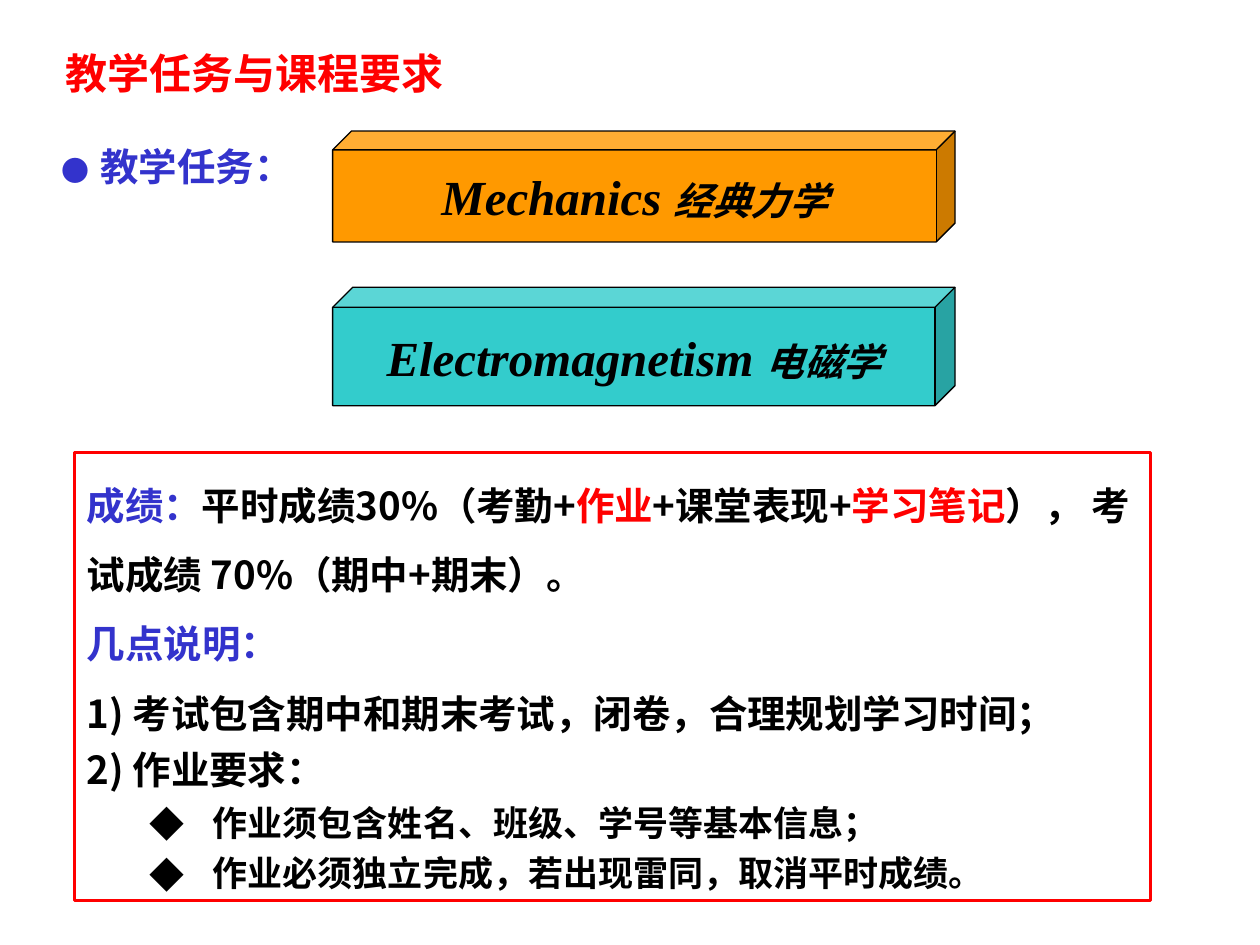
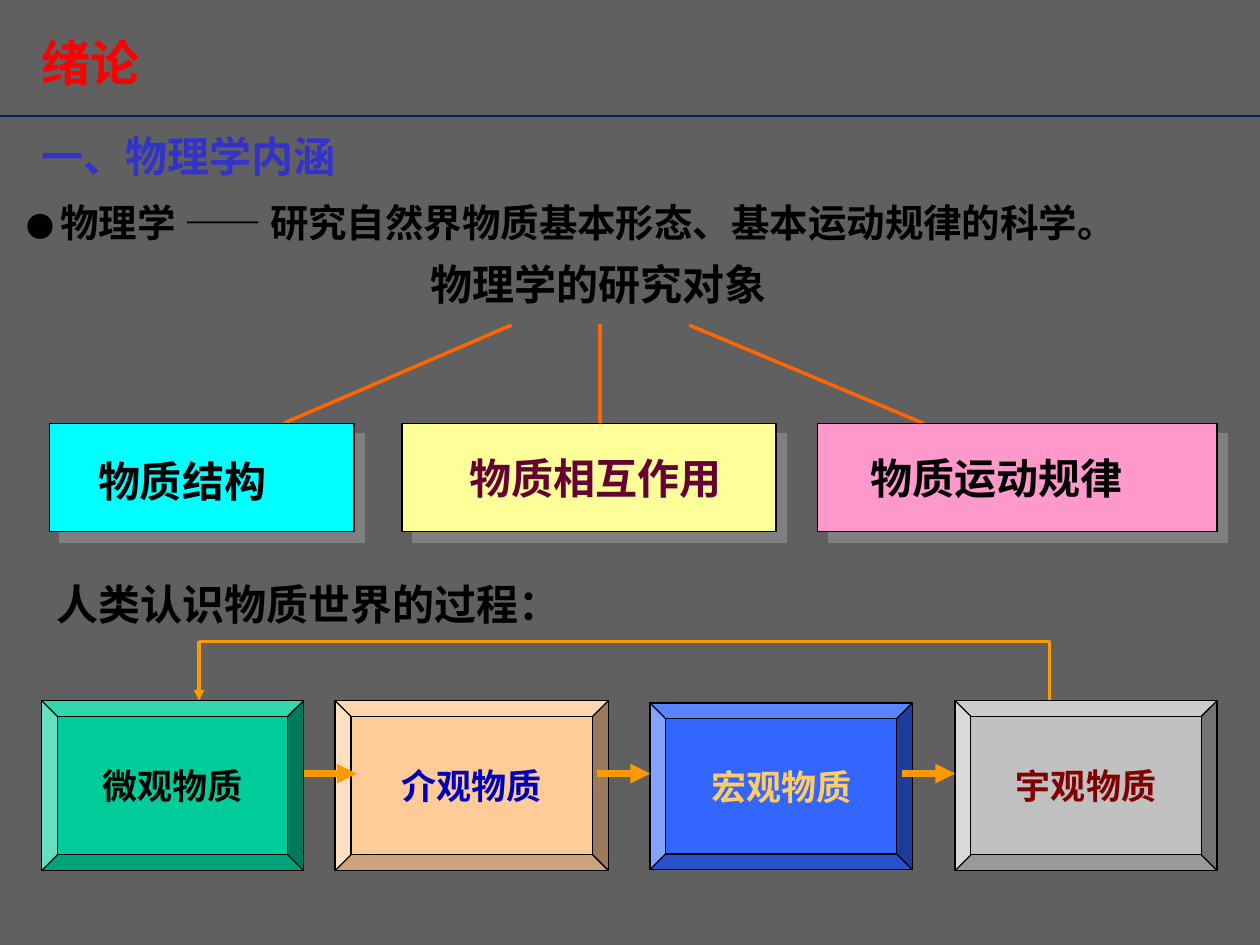
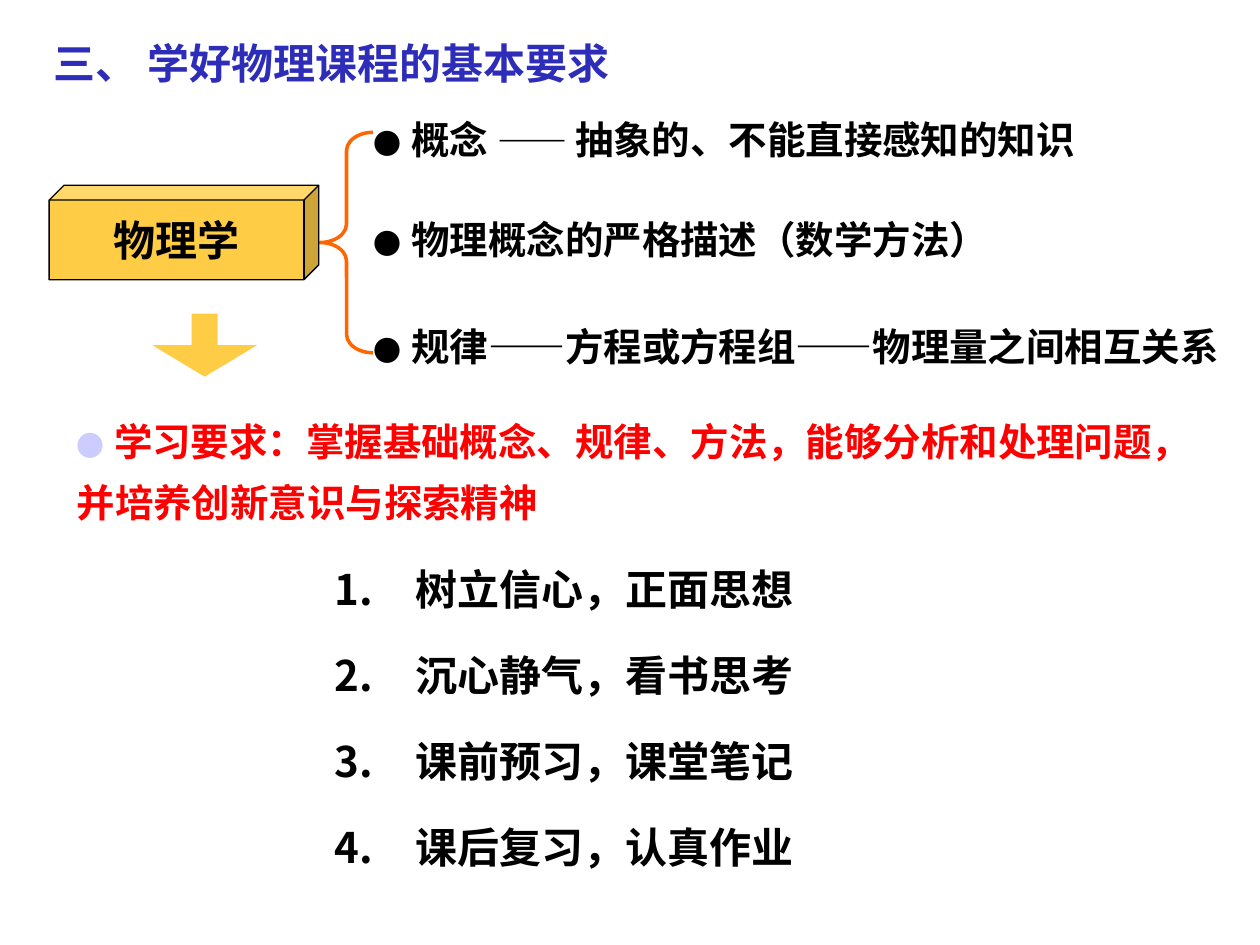
from lxml import etree
from pptx import Presentation
from pptx.dml.color import RGBColor
from pptx.enum.shapes import MSO_CONNECTOR, MSO_SHAPE
from pptx.enum.text import MSO_ANCHOR, PP_ALIGN
from pptx.oxml.ns import qn
from pptx.util import Inches, Pt

SANS, SERIF = "Noto Sans CJK SC", "Times New Roman"
BLACK = RGBColor(0x00, 0x00, 0x00)
WHITE = RGBColor(0xFF, 0xFF, 0xFF)
GRAY = RGBColor(0x60, 0x60, 0x60)
RED = RGBColor(0xFF, 0x00, 0x00)
BLUE = RGBColor(0x33, 0x33, 0xCC)
DEEP_BLUE = RGBColor(0x2D, 0x2D, 0xB9)
NAVY = RGBColor(0x00, 0x20, 0x60)
LAVENDER = RGBColor(0xCC, 0xCC, 0xFF)
ORANGE = RGBColor(0xFF, 0x99, 0x00)
DARK_ORANGE = RGBColor(0xFF, 0x66, 0x00)
TEAL = RGBColor(0x33, 0xCC, 0xCC)
GOLD = RGBColor(0xFF, 0xCD, 0x45)
CYAN = RGBColor(0x00, 0xFF, 0xFF)
YELLOW = RGBColor(0xFF, 0xFF, 0x99)
PINK = RGBColor(0xFF, 0x99, 0xCC)
PLUM = RGBColor(0x66, 0x00, 0x33)
GREEN = RGBColor(0x00, 0xCC, 0x99)
PEACH = RGBColor(0xFF, 0xCC, 0x99)
ROYAL = RGBColor(0x33, 0x66, 0xFF)
SILVER = RGBColor(0xC0, 0xC0, 0xC0)
INK_BLUE = RGBColor(0x00, 0x00, 0xB6)
SAND = RGBColor(0xFF, 0xCC, 0x66)
MAROON = RGBColor(0x80, 0x00, 0x00)

# Content: a run is (text, size, colour[, font]); a paragraph is (runs, format)
COURSES = [
    ("Mechanics ", "经典力学", 1.04, 0.88, ORANGE),
    ("Electromagnetism ", "电磁学", 2.28, 0.94, TEAL),
]
DIAMOND = {"bullet": "◆", "indent": 0.5, "left": 1, "before": 5}
GRADING = [
    ([("成绩：", 22, BLUE), ("平时成绩30%（考勤+", 22, BLACK), ("作业", 22, RED),
      ("+课堂表现+", 22, BLACK), ("学习笔记", 22, RED),
      ("）， 考试成绩 70%（期中+期末）。", 22, BLACK)], {"spacing": 1.5}),
    ([("几点说明：", 22, BLUE)], {"spacing": 1.5}),
    ([("1) 考试包含期中和期末考试，闭卷，合理规划学习时间；", 22, BLACK)], {"before": 13.8}),
    ([("2) 作业要求：", 22, BLACK)], {"before": 5.5}),
    ([("作业须包含姓名、班级、学号等基本信息；", 20, BLACK)], DIAMOND),
    ([("作业必须独立完成，若出现雷同，取消平时成绩。", 20, BLACK)], DIAMOND),
]
# label, left, width, fill, then label left, top, width, alignment, colour
TOPICS = [
    ("物质结构", 0.39, 2.42, CYAN, 0.68, 3.57, 2.36, PP_ALIGN.LEFT, BLACK),
    ("物质相互作用", 3.19, 2.97, YELLOW, 3.05, 3.54, 3.36, PP_ALIGN.CENTER, PLUM),
    ("物质运动规律", 6.49, 3.17, PINK, 6.81, 3.54, 2.56, PP_ALIGN.LEFT, BLACK),
]
TOPIC_TOP = 3.36
TOPIC_LINES = [(5.47, 2.58, 7.33), (4.76, 2.57, 4.76), (4.06, 2.58, 2.25)]
SCALES = [
    ("微观物质", 0.33, 5.56, 2.08, 1.35, GREEN, BLACK),
    ("介观物质", 2.66, 5.56, 2.17, 1.35, PEACH, INK_BLUE),
    ("宏观物质", 5.16, 5.58, 2.08, 1.32, ROYAL, SAND),
    ("宇观物质", 7.58, 5.56, 2.08, 1.35, SILVER, MAROON),
]
LOOP_LEFT, LOOP_RIGHT, LOOP_TOP, LOOP_BOTTOM = 1.58, 8.33, 5.09, 5.56
PHYSICS_PARTS = [
    (0.84, 6.3, [("概念 ", 22), ("—— ", 20), ("抽象的、不能直接感知的知识", 22)]),
    (1.64, 5.54, [("物理概念的严格描述（数学方法）", 22)]),
    (2.49, 7.07, [("规律——方程或方程组——物理量之间相互关系", 22)]),
]
HABITS = ["树立信心，正面思想", "沉心静气，看书思考", "课前预习，课堂笔记", "课后复习，认真作业"]


def add_bullet(paragraph, layout):
    properties = paragraph._p.get_or_add_pPr()
    properties.set("marL", str(Inches(layout["left"])))
    properties.set("indent", str(-Inches(layout["indent"])))
    color = etree.SubElement(properties, qn("a:buClr"))
    etree.SubElement(color, qn("a:srgbClr"), val=str(BLACK))
    if "bullet" in layout:
        etree.SubElement(properties, qn("a:buFont"), typeface=SANS)
        etree.SubElement(properties, qn("a:buChar"), char=layout["bullet"])
    else:
        etree.SubElement(properties, qn("a:buFont"), typeface=SANS)
        etree.SubElement(properties, qn("a:buAutoNum"), type="arabicPeriod")


def fill_text(shape, paragraphs, align=PP_ALIGN.LEFT, wrap=True, italic=False):
    frame = shape.text_frame
    frame.word_wrap = wrap
    for index, (runs, layout) in enumerate(paragraphs):
        paragraph = frame.add_paragraph() if index else frame.paragraphs[0]
        paragraph.alignment = align
        if "indent" in layout:
            add_bullet(paragraph, layout)
        if "spacing" in layout:
            paragraph.line_spacing = layout["spacing"]
        if index and "before" in layout:
            paragraph.space_before = Pt(layout["before"])
        for text, size, color, *font in runs:
            run = paragraph.add_run()
            run.text = text
            run.font.size = Pt(size)
            run.font.bold = True
            run.font.italic = italic
            run.font.color.rgb = color
            run.font.name = font[0] if font else SANS
            latin = run._r.rPr.find(qn("a:latin"))
            latin.addnext(latin.makeelement(qn("a:ea"), {"typeface": SANS}))


def add_text(slide, left, top, width, height, paragraphs, align=PP_ALIGN.LEFT):
    box = slide.shapes.add_textbox(Inches(left), Inches(top), Inches(width), Inches(height))
    fill_text(box, paragraphs, align)


def add_line_of_text(slide, left, top, width, runs, align=PP_ALIGN.LEFT, height=0.5):
    add_text(slide, left, top, width, height, [(runs, {})], align)


def add_block(slide, kind, left, top, width, height, fill=None, line=BLACK,
              weight=0.75, adjustment=None):
    shape = slide.shapes.add_shape(kind, Inches(left), Inches(top), Inches(width), Inches(height))
    shape.shadow.inherit = False
    if fill is None:
        shape.fill.background()
    else:
        shape.fill.solid()
        shape.fill.fore_color.rgb = fill
    if line is None:
        shape.line.fill.background()
    else:
        shape.line.color.rgb = line
        shape.line.width = Pt(weight)
    if adjustment is not None:
        shape.adjustments[0] = adjustment
    return shape


def add_labelled_block(slide, kind, box, fill, adjustment, runs, italic=False):
    shape = add_block(slide, kind, *box, fill, adjustment=adjustment)
    shape.text_frame.vertical_anchor = MSO_ANCHOR.MIDDLE
    fill_text(shape, [(runs, {})], PP_ALIGN.CENTER, wrap=False, italic=italic)


def add_offset_shadow(shape):
    effects = shape._element.spPr.find(qn("a:effectLst"))
    shadow = etree.SubElement(effects, qn("a:outerShdw"), dist=str(Pt(8.5)),
                              dir="2700000", algn="ctr", rotWithShape="0")
    etree.SubElement(shadow, qn("a:srgbClr"), val="808080")


def add_line(slide, x1, y1, x2, y2, color, weight, arrow=False):
    line = slide.shapes.add_connector(MSO_CONNECTOR.STRAIGHT, Inches(x1), Inches(y1),
                                      Inches(x2), Inches(y2))
    line.line.color.rgb = color
    line.line.width = Pt(weight)
    if arrow:
        etree.SubElement(line.line._get_or_add_ln(), qn("a:tailEnd"), type="triangle")
    etree.SubElement(line._element.spPr, qn("a:effectLst"))


def add_slide(presentation, background):
    slide = presentation.slides.add_slide(presentation.slide_layouts[6])
    slide.background.fill.solid()
    slide.background.fill.fore_color.rgb = background
    return slide


def build_requirements(presentation):
    slide = add_slide(presentation, WHITE)
    add_line_of_text(slide, 0.42, 0.33, 4.31, [("教学任务与课程要求", 24, RED)])
    add_line_of_text(slide, 0.39, 1, 3.12, [("●", 16, BLUE), (" ", 28, BLUE),
                                            ("教学任务：", 22, BLUE)], height=0.57)
    for english, chinese, top, height, fill in COURSES:
        add_labelled_block(slide, MSO_SHAPE.CUBE, (2.64, top, 4.94, height), fill, 0.17,
                           [(english, 28, BLACK, SERIF), (chinese, 22, BLACK)], italic=True)
    # Grading rules
    panel = add_block(slide, MSO_SHAPE.RECTANGLE, 0.59, 3.59, 8.54, 3.56, line=RED, weight=1.5)
    panel.text_frame.vertical_anchor = MSO_ANCHOR.TOP
    fill_text(panel, GRADING)


def build_introduction(presentation):
    slide = add_slide(presentation, GRAY)
    # Headings
    add_line_of_text(slide, 0.23, 0.21, 2.17, [("绪论", 28, RED)], height=0.57)
    add_line(slide, 0, 0.92, 10, 0.92, NAVY, 0.75)
    add_line_of_text(slide, 0.23, 0.99, 3.83, [("一、物理学内涵", 24, BLUE)])
    add_line_of_text(slide, 0.11, 1.53, 9.18, [
        ("● ", 16, BLACK),
        ("物理学 —— 研究自然界物质基本形态、基本运动规律的科学。", 22, BLACK)], height=0.47)
    add_line_of_text(slide, 2.34, 2, 4.82, [("物理学的研究对象", 24, BLACK)], PP_ALIGN.CENTER)
    # Research topics
    for x1, y1, x2 in TOPIC_LINES:
        add_line(slide, x1, y1, x2, TOPIC_TOP, DARK_ORANGE, 2)
    for label, left, width, fill, text_left, text_top, text_width, align, color in TOPICS:
        panel = add_block(slide, MSO_SHAPE.RECTANGLE, left, TOPIC_TOP, width, 0.86, fill)
        add_offset_shadow(panel)
        add_line_of_text(slide, text_left, text_top, text_width, [(label, 24, color)], align)
    # Scales of matter
    add_line_of_text(slide, 0.35, 4.54, 4.44, [("人类认识物质世界的过程：", 24, BLACK)])
    add_line(slide, LOOP_LEFT, LOOP_TOP, LOOP_LEFT, LOOP_BOTTOM, ORANGE, 2, arrow=True)
    add_line(slide, LOOP_LEFT, LOOP_TOP, LOOP_RIGHT, LOOP_TOP, ORANGE, 2)
    add_line(slide, LOOP_RIGHT, LOOP_TOP, LOOP_RIGHT, LOOP_BOTTOM, ORANGE, 2)
    for label, left, top, width, height, fill, color in SCALES:
        add_labelled_block(slide, MSO_SHAPE.BEVEL, (left, top, width, height), fill, 0.093,
                           [(label, 20, color)])
    for start in (2.41, 4.74, 7.16):
        add_line(slide, start, 6.14, start + 0.42, 6.14, ORANGE, 3.75, arrow=True)


def build_study_advice(presentation):
    slide = add_slide(presentation, WHITE)
    add_line_of_text(slide, 0.33, 0.25, 4.92,
                     [("三、 学好物理课程的基本要求", 24, DEEP_BLUE, SERIF)])
    # Physics and its parts
    for top, width, parts in PHYSICS_PARTS:
        runs = [("●", 16), (" ", 24)] + parts
        add_line_of_text(slide, 2.87, top, width,
                         [(text, size, BLACK, SERIF) for text, size in runs])
    add_block(slide, MSO_SHAPE.LEFT_BRACE, 2.54, 1.05, 0.42, 1.75, line=DARK_ORANGE,
              weight=2, adjustment=0.35)
    add_block(slide, MSO_SHAPE.DOWN_ARROW, 1.21, 2.49, 0.83, 0.5, GOLD, line=None,
              adjustment=0.25)
    add_labelled_block(slide, MSO_SHAPE.CUBE, (0.39, 1.47, 2.14, 0.75), GOLD, 0.157,
                       [("物理学", 24, BLACK, SERIF)])
    # Study requirements
    goal = [("●", 16, LAVENDER, SERIF), (" ", 24, LAVENDER, SERIF),
            ("学习要求：掌握基础概念、规律、方法，能够分析和处理问题，并培养创新意识与探索精神",
             22, RED, SERIF)]
    add_text(slide, 0.51, 3.12, 8.98, 1.1, [(goal, {"spacing": 1.3})])
    numbered = {"left": 0.64, "indent": 0.64, "spacing": 1.5, "before": 6}
    add_text(slide, 2.56, 4.22, 4.14, 2.77,
             [([(habit, 24, BLACK)], numbered) for habit in HABITS])


def main():
    presentation = Presentation()
    presentation.slide_width = Inches(10)
    presentation.slide_height = Inches(7.5)
    build_requirements(presentation)
    build_introduction(presentation)
    build_study_advice(presentation)
    presentation.save("out.pptx")


if __name__ == "__main__":
    main()
